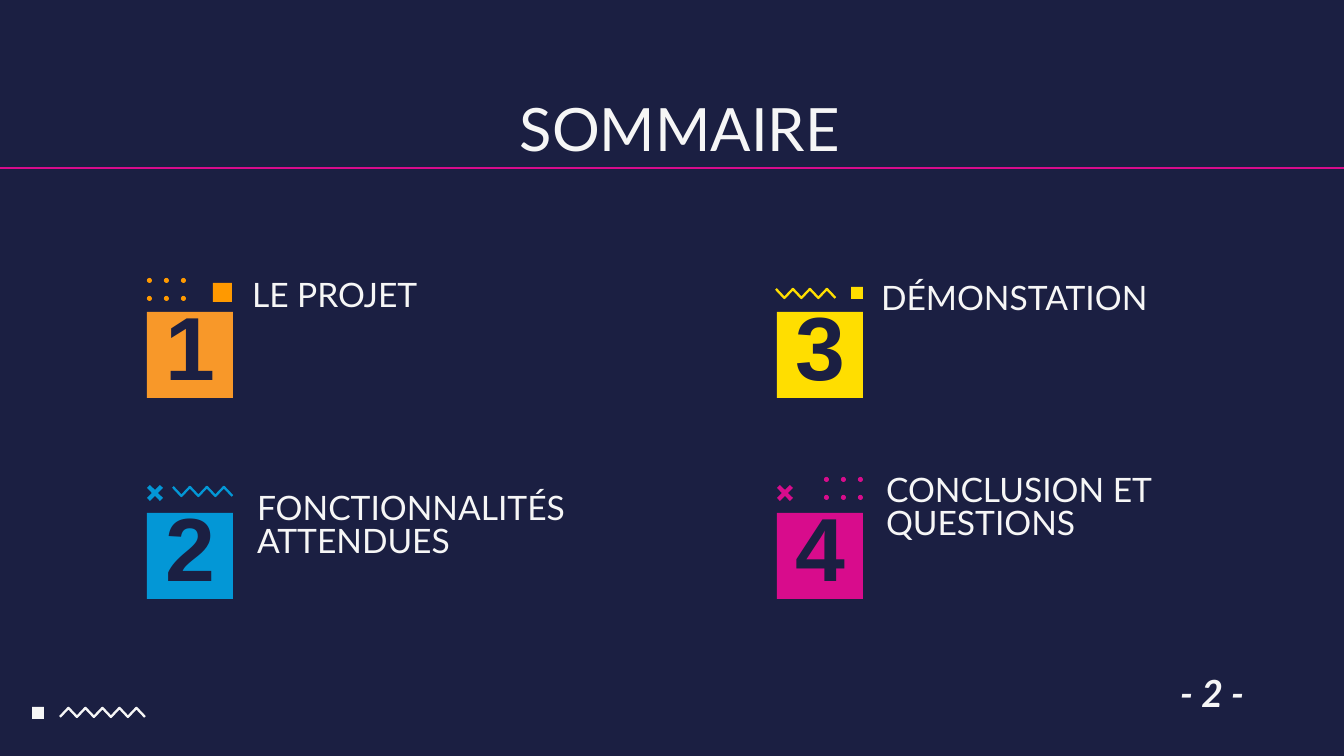
from lxml.etree import SubElement
from pptx import Presentation
from pptx.dml.color import RGBColor
from pptx.enum.shapes import MSO_CONNECTOR, MSO_SHAPE
from pptx.enum.text import MSO_ANCHOR, MSO_AUTO_SIZE, PP_ALIGN
from pptx.oxml.ns import qn
from pptx.util import Pt

PX = 914400 / 134.4
NAVY, WHITE, MAGENTA = "1B1F42", "F6F6F6", "D80C8C"
YELLOW, BLUE, ORANGE, AMBER = "FFDE00", "0397D6", "FF9900", "F89829"


def emu(*lengths):
    """Turn px lengths into EMU."""
    return [round(n * PX) for n in lengths]


def rgb(color):
    return RGBColor.from_string(color)


prs = Presentation()
prs.slide_width, prs.slide_height = emu(1344, 756)
s = prs.slides.add_slide(prs.slide_layouts.get_by_name("Comparison"))
s.background.fill.solid()
s.background.fill.fore_color.rgb = rgb(NAVY)
title, *entries = s.placeholders

# Rule under the title
x1, y1, x2, y2 = emu(-1, 168, 1345, 168)
rule = s.shapes.add_connector(MSO_CONNECTOR.STRAIGHT, x1, y1, x2, y2)
rule.line.color.rgb = rgb(MAGENTA)
rule.line.width = Pt(1.5)
SubElement(rule._element.spPr, qn("a:effectLst"))

# Numbered tiles, filled column by column
SIZE = 86
tile_colors = [AMBER, BLUE, YELLOW, MAGENTA]
tile_spots = [(x, y) for x in (147, 777) for y in (312, 513)]
for number, ((x, y), color) in enumerate(zip(tile_spots, tile_colors), 1):
    tile = s.shapes.add_shape(MSO_SHAPE.RECTANGLE, *emu(x, y, SIZE, SIZE))
    tile.shadow.inherit = False
    tile.fill.solid()
    tile.fill.fore_color.rgb = rgb(color)
    tile.line.fill.background()
    tf = tile.text_frame
    tf.word_wrap = False
    tf.vertical_anchor = MSO_ANCHOR.MIDDLE
    p = tf.paragraphs[0]
    p.alignment = PP_ALIGN.CENTER
    p.line_spacing = 0.8
    r = p.add_run()
    r.text = str(number)
    for name, value in {"name": "Arial", "size": Pt(48), "bold": True}.items():
        setattr(r.font, name, value)
    r.font.color.rgb = rgb(NAVY)

# Title, entries and page number
page = s.shapes.add_textbox(*emu(1167, 664, 145, 59))
plain = {"name": "Lato", "bold": False, "italic": False}
heading = {**plain, "size": Pt(32)}
entry = {**plain, "size": Pt(18)}
folio = {"name": "Lato", "size": Pt(20), "bold": True, "italic": True}
texts = [
    (title, "SOMMAIRE", (113, 79, 1134, 100), heading),
    (entries[0], "LE PROJET", (239, 269, 372, 86), entry),
    (entries[1], "FONCTIONNALITÉS ATTENDUES", (244, 482, 364, 86), entry),
    (entries[2], "DÉMONSTATION", (868, 272, 340, 55), entry),
    (entries[3], "CONCLUSION ET QUESTIONS", (873, 464, 340, 121), entry),
    (page, "- 2 -", (1167, 664, 145, 59), folio),
]
for sp, text, box, style in texts:
    sp.left, sp.top, sp.width, sp.height = emu(*box)
    tf = sp.text_frame
    tf.word_wrap = True
    tf.auto_size = MSO_AUTO_SIZE.NONE
    tf.vertical_anchor = MSO_ANCHOR.TOP
    p = tf.paragraphs[0]
    if sp is not page:
        for side in ("left", "top", "right", "bottom"):
            setattr(tf, f"margin_{side}", emu(13)[0])
    if style is heading:
        p.alignment = PP_ALIGN.CENTER
    if style is entry:
        p.line_spacing = 0.8
        p.space_before, p.space_after = Pt(0), Pt(16)
        pPr = p._p.get_or_add_pPr()
        pPr.set("marL", "0")
        pPr.set("indent", "0")
        SubElement(pPr, qn("a:buNone"))
    r = p.add_run()
    r.text = text
    for name, value in style.items():
        setattr(r.font, name, value)
    r.font.color.rgb = rgb(WHITE)

# Small squares and 3 x 2 grids of dots
ornaments = [
    (MSO_SHAPE.RECTANGLE, 32, 707, 12, WHITE),
    (MSO_SHAPE.RECTANGLE, 213, 283, 19, ORANGE),
    (MSO_SHAPE.RECTANGLE, 851, 287, 12, YELLOW),
]
for left, top, color in [(147, 278, ORANGE), (824, 477, MAGENTA)]:
    ornaments += [(MSO_SHAPE.OVAL, left + 17 * col, top + 18 * row, 5, color)
                  for row in range(2) for col in range(3)]
for kind, x, y, size, color in ornaments:
    sp = s.shapes.add_shape(kind, *emu(x, y, size, size))
    sp.shadow.inherit = False
    sp.fill.solid()
    sp.fill.fore_color.rgb = rgb(color)
    sp.line.fill.background()

# Crosses
CROSS = [(13, 0), (16, 3), (11, 8), (16, 13), (13, 16), (8, 11),
         (3, 16), (0, 13), (5, 8), (0, 3), (3, 0), (8, 5)]
for left, top, color in [(147, 485, BLUE), (777, 485, MAGENTA)]:
    points = [emu(left + x, top + y) for x, y in CROSS]
    outline = s.shapes.build_freeform(*points[0])
    outline.add_line_segments(points[1:], close=True)
    cross = outline.convert_to_shape()
    cross.shadow.inherit = False
    cross.fill.solid()
    cross.fill.fore_color.rgb = rgb(color)
    cross.line.fill.background()

# Zigzags: x of the first point, y of the first and second, number of points
zigzags = [(60, 717, 708, 11, WHITE), (776, 289, 298, 8, YELLOW), (173, 487, 496, 8, BLUE)]
for left, first, second, count, color in zigzags:
    points = [emu(left + 8.5 * i, second if i % 2 else first) for i in range(count)]
    outline = s.shapes.build_freeform(*points[0])
    outline.add_line_segments(points[1:], close=False)
    zigzag = outline.convert_to_shape()
    zigzag.shadow.inherit = False
    zigzag.fill.background()
    zigzag.line.color.rgb = rgb(color)
    zigzag.line.width = Pt(1.25)

prs.save("out.pptx")
